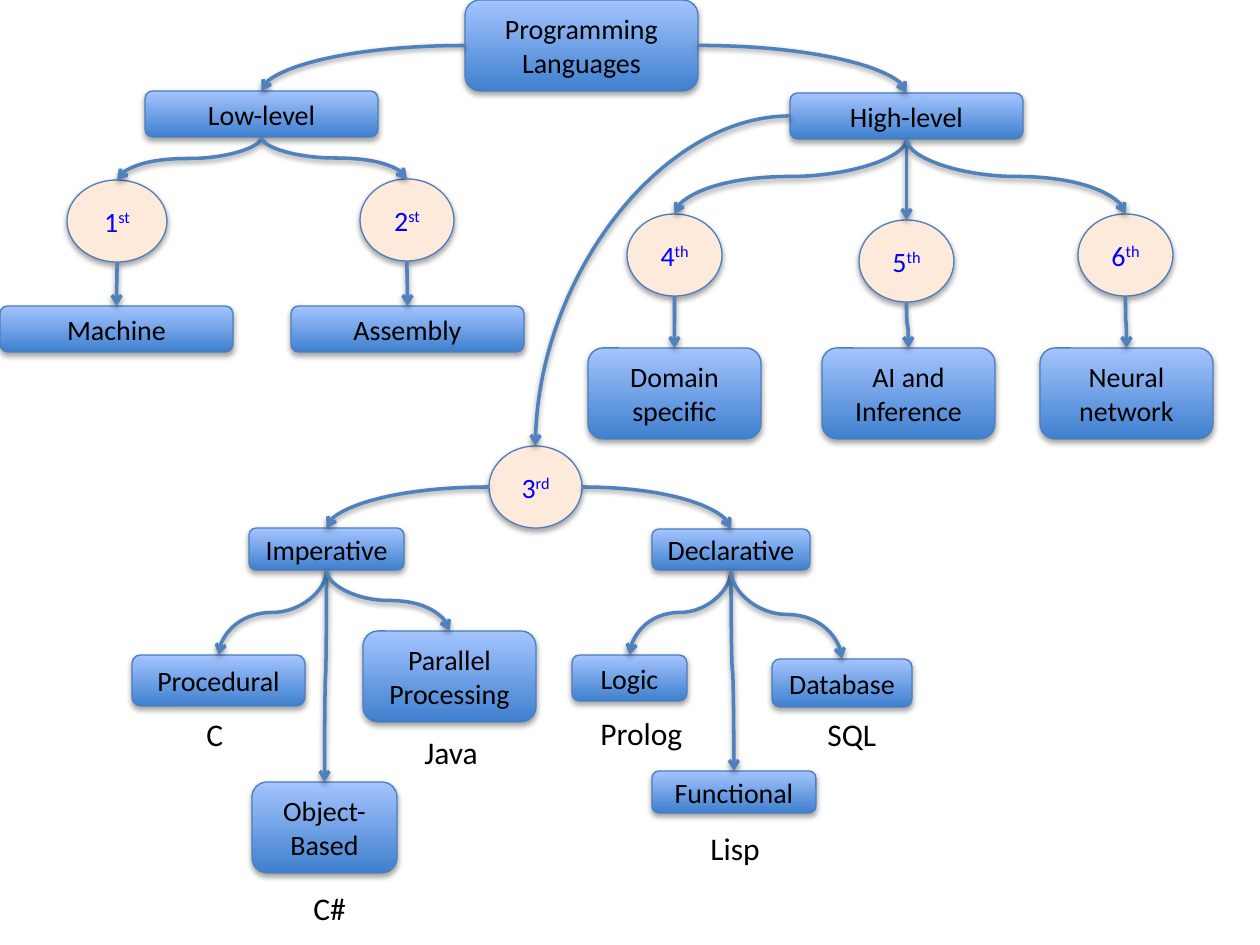
from dataclasses import dataclass

from pptx import Presentation
from pptx.dml.color import RGBColor
from pptx.enum.shapes import MSO_CONNECTOR, MSO_SHAPE
from pptx.enum.text import MSO_ANCHOR, MSO_AUTO_SIZE, PP_ALIGN
from pptx.oxml import parse_xml
from pptx.oxml.ns import nsdecls, qn
from pptx.util import Pt

EMU_PER_PX = 914400 / 126
BLANK_LAYOUT = 6
ROUNDED, ELLIPSE = MSO_SHAPE.ROUNDED_RECTANGLE, MSO_SHAPE.OVAL
CURVE = MSO_CONNECTOR.CURVE
CENTER, LEFT = PP_ALIGN.CENTER, PP_ALIGN.LEFT
MIDDLE, TOP = MSO_ANCHOR.MIDDLE, MSO_ANCHOR.TOP
FIT_SHAPE = MSO_AUTO_SIZE.SHAPE_TO_FIT_TEXT
QUARTER_TURN = "5400000"


@dataclass(frozen=True)
class Theme:
    """Colours, type and line sizes of the tree."""
    font: str = "Calibri"
    node_size: int = 16
    example_size: int = 18
    text: str = "000000"
    generation_text: str = "0000FF"
    generation_fill: str = "FDEADA"
    gradient: tuple = ("3F80CE", "A4C4FF")
    outline: str = "4B7EBC"
    outline_width: float = 0.75
    arrow: str = "4F81BD"
    arrow_width: float = 2


def px(*lengths):
    return [round(length * EMU_PER_PX) for length in lengths]


def apply(target, values):
    for name, value in values.items():
        setattr(target, name, value)


class TreeSlide:
    """Draws the nodes, examples and arrows of a tree on one slide."""

    def __init__(self, page, theme):
        self.page = page
        self.theme = theme

    def _shadow(self, shape, alpha, distance):
        shape._element.spPr.append(parse_xml(
            f'<a:effectLst {nsdecls("a")}><a:outerShdw blurRad="40000" '
            f'dist="{distance}" dir="5400000" rotWithShape="0">'
            f'<a:srgbClr val="000000"><a:alpha val="{alpha}"/></a:srgbClr>'
            '</a:outerShdw></a:effectLst>'))

    def _line(self, line, color, width):
        line.color.rgb = RGBColor.from_string(color)
        line.width = Pt(width)

    def _span(self, para, text, size, color):
        span = para.add_run()
        span.text = text
        apply(span.font, {"name": self.theme.font, "size": Pt(size)})
        span.font.color.rgb = RGBColor.from_string(color)
        return span

    def _node(self, kind, place):
        shape = self.page.shapes.add_shape(kind, *px(*place))
        self._line(shape.line, self.theme.outline, self.theme.outline_width)
        self._shadow(shape, 35000, 23000)
        apply(shape.text_frame, {"word_wrap": True, "vertical_anchor": MIDDLE})
        para = shape.text_frame.paragraphs[0]
        para.alignment = CENTER
        return shape, para

    def category(self, text, place):
        shape, para = self._node(ROUNDED, place)
        shape.fill.gradient()
        shape.fill.gradient_angle = 90
        for stop, color in zip(shape.fill.gradient_stops, self.theme.gradient):
            stop.color.rgb = RGBColor.from_string(color)
        self._span(para, text, self.theme.node_size, self.theme.text)
        return shape

    def generation(self, text, place):
        shape, para = self._node(ELLIPSE, place)
        shape.fill.solid()
        shape.fill.fore_color.rgb = RGBColor.from_string(self.theme.generation_fill)
        style = self.theme.node_size, self.theme.generation_text
        self._span(para, text[0], *style)
        suffix = self._span(para, text[1:], *style)
        suffix._r.get_or_add_rPr().set("baseline", "30000")
        return shape

    def example(self, text, place):
        box = self.page.shapes.add_textbox(*px(*place))
        apply(box.text_frame, {"word_wrap": False, "auto_size": FIT_SHAPE,
                               "vertical_anchor": TOP})
        para = box.text_frame.paragraphs[0]
        para.alignment = LEFT
        self._span(para, text, self.theme.example_size, self.theme.text)

    def _arrow(self, *ends):
        arrow = self.page.shapes.add_connector(CURVE, *map(round, ends))
        self._line(arrow.line, self.theme.arrow, self.theme.arrow_width)
        properties = arrow._element.spPr
        properties.find(qn("a:ln")).append(
            parse_xml(f'<a:tailEnd {nsdecls("a")} type="arrow"/>'))
        self._shadow(arrow, 38000, 20000)
        return properties

    def side_arrow(self, parent, child):
        """Curve from the parent's side down to the child's top."""
        end_x = child.left + child.width / 2
        start_x = parent.left + (parent.width if end_x > parent.left else 0)
        properties = self._arrow(start_x, parent.top + parent.height / 2,
                                 end_x, child.top)
        properties.find(qn("a:prstGeom")).set("prst", "curvedConnector2")

    def down_arrow(self, parent, child):
        """S-curve from the parent's bottom to the child's top."""
        start_x, end_x = (node.left + node.width / 2 for node in (parent, child))
        start_y, end_y = parent.top + parent.height, child.top
        middle_x, middle_y = (start_x + end_x) / 2, (start_y + end_y) / 2
        half_x, half_y = (end_x - start_x) / 2, (end_y - start_y) / 2
        properties = self._arrow(middle_x - half_y, middle_y + half_x,
                                 middle_x + half_y, middle_y - half_x)
        properties.find(qn("a:xfrm")).set("rot", QUARTER_TURN)


CATEGORIES = {
    "Programming Languages": (465, 0, 233, 91),
    "Low-level": (145, 91, 233, 46),
    "High-level": (790, 93, 233, 46),
    "Machine": (0, 306, 233, 46),
    "Assembly": (291, 306, 233, 46),
    "Domain specific": (588, 348, 173, 91),
    "AI and Inference": (822, 348, 173, 91),
    "Neural network": (1040, 348, 173, 91),
    "Imperative": (249, 528, 155, 42),
    "Declarative": (652, 529, 158, 41),
    "Procedural": (132, 655, 173, 51),
    "Object-Based": (252, 782, 145, 91),
    "Parallel Processing": (363, 631, 173, 91),
    "Logic": (572, 655, 115, 46),
    "Functional": (652, 771, 164, 42),
    "Database": (772, 659, 140, 48),
}
GENERATIONS = {
    "1st": (67, 180, 100, 82),
    "2st": (360, 179, 94, 82),
    "3rd": (489, 446, 93, 82),
    "4th": (627, 214, 95, 82),
    "5th": (859, 220, 95, 82),
    "6th": (1078, 214, 95, 82),
}
EXAMPLES = {
    "C": (194, 709, 43, 50),
    "C#": (301, 883, 59, 50),
    "Java": (412, 727, 81, 50),
    "Prolog": (588, 708, 108, 50),
    "Lisp": (698, 823, 76, 50),
    "SQL": (815, 709, 74, 50),
}
SIDE_BRANCHES = {
    "Programming Languages": ("Low-level", "High-level"),
    "High-level": ("3rd",),
    "3rd": ("Imperative", "Declarative"),
}
DOWN_BRANCHES = {
    "Low-level": ("1st", "2st"),
    "High-level": ("4th", "5th", "6th"),
    "1st": ("Machine",),
    "2st": ("Assembly",),
    "4th": ("Domain specific",),
    "5th": ("AI and Inference",),
    "6th": ("Neural network",),
    "Imperative": ("Procedural", "Object-Based", "Parallel Processing"),
    "Declarative": ("Logic", "Functional", "Database"),
}


def main():
    deck = Presentation()
    deck.slide_width, deck.slide_height = px(1260, 945)
    page = deck.slides.add_slide(deck.slide_layouts[BLANK_LAYOUT])
    tree = TreeSlide(page, Theme())
    nodes = {}
    for draw, places in ((tree.category, CATEGORIES), (tree.generation, GENERATIONS)):
        nodes.update({text: draw(text, place) for text, place in places.items()})
    for text, place in EXAMPLES.items():
        tree.example(text, place)
    for connect, branches in ((tree.side_arrow, SIDE_BRANCHES),
                              (tree.down_arrow, DOWN_BRANCHES)):
        for parent, children in branches.items():
            for child in children:
                connect(nodes[parent], nodes[child])
    deck.save("out.pptx")


if __name__ == "__main__":
    main()
